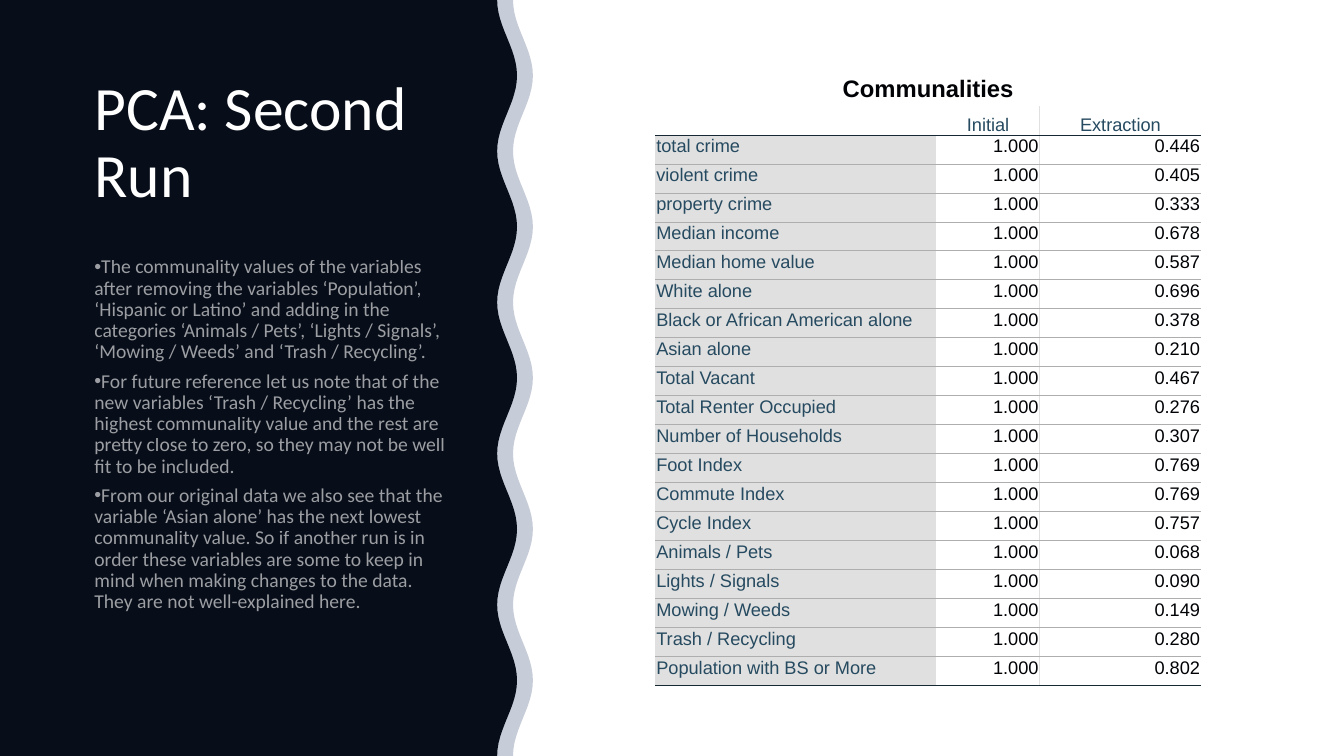
from dataclasses import dataclass
from math import cos, pi

from lxml import etree
from pptx import Presentation, util as u
from pptx.dml import color
from pptx.enum import text
from pptx.oxml import ns


@dataclass(frozen=True)
class Theme:
    black: str = "000000"
    navy: str = "203864"
    white: str = "FFFFFF"
    ink: str = "010205"
    label: str = "264A60"
    shade: str = "E0E0E0"
    rule: str = "AEAEAE"
    frame: str = "152935"
    text_font: str = "Calibri"
    table_font: str = "Arial"
    title_size: int = 44
    body_size: int = 14
    caption_size: int = 17
    cell_size: int = 13


T = Theme()
WIDTH, HEIGHT = 33.87, 19.05
WAVE_MIDDLE, WAVE_DEPTH, WAVE_LENGTH, WAVE_STEPS = 12.78, 0.25, 3.81, 120

TITLE = "PCA: Second Run"
NOTES = [
    "The communality values of the variables after removing the variables ‘Population’, "
    "‘Hispanic or Latino’ and adding in the categories ‘Animals / Pets’, ‘Lights / Signals’, "
    "‘Mowing / Weeds’ and ‘Trash / Recycling’.",
    "For future reference let us note that of the new variables ‘Trash / Recycling’ has the "
    "highest communality value and the rest are pretty close to zero, so they may not be well "
    "fit to be included.",
    "From our original data we also see that the variable ‘Asian alone’ has the next lowest "
    "communality value. So if another run is in order these variables are some to keep in mind "
    "when making changes to the data. They are not well-explained here.",
]
CAPTION = "Communalities"
HEADINGS = ["", "Initial", "Extraction"]
EXTRACTIONS = {
    "total crime": 0.446,
    "violent crime": 0.405,
    "property crime": 0.333,
    "Median income": 0.678,
    "Median home value": 0.587,
    "White alone": 0.696,
    "Black or African American alone": 0.378,
    "Asian alone": 0.210,
    "Total Vacant": 0.467,
    "Total Renter Occupied": 0.276,
    "Number of Households": 0.307,
    "Foot Index": 0.769,
    "Commute Index": 0.769,
    "Cycle Index": 0.757,
    "Animals / Pets": 0.068,
    "Lights / Signals": 0.090,
    "Mowing / Weeds": 0.149,
    "Trash / Recycling": 0.280,
    "Population with BS or More": 0.802,
}
COLUMN_WIDTHS = [7.09, 2.6, 4.07]
CAPTION_HEIGHT, ROW_HEIGHT = 0.89, 0.73


def apply(obj, **values):
    for name, value in values.items():
        setattr(obj, name, value)


def set_alpha(element, percent):
    clr = element.find(".//" + ns.qn("a:srgbClr"))
    etree.SubElement(clr, ns.qn("a:alpha"), val=str(percent * 1000))


def add_run(p, words, font, size, rgb, bold=False):
    r = p.add_run()
    r.text = words
    apply(r.font, name=font, size=u.Pt(size), bold=bold)
    r.font.color.rgb = color.RGBColor.from_string(rgb)
    return r


def add_wavy_panel(s, shift, rgb, alpha=100):
    ys = [HEIGHT * i / WAVE_STEPS for i in range(WAVE_STEPS + 1)]
    edge = [
        (u.Cm(WAVE_MIDDLE + shift - WAVE_DEPTH * cos(2 * pi * y / WAVE_LENGTH)), u.Cm(y))
        for y in ys
    ]
    builder = s.shapes.build_freeform(0, 0)
    builder.add_line_segments(edge + [(0, u.Cm(HEIGHT))])
    sp = builder.convert_to_shape()
    sp.shadow.inherit = False
    sp.fill.solid()
    sp.fill.fore_color.rgb = color.RGBColor.from_string(rgb)
    sp.line.fill.background()
    if alpha < 100:
        set_alpha(sp._element, alpha)


def add_text(s, top, height, paragraphs, size, alpha=100, bullet=None):
    tf = s.shapes.add_textbox(u.Cm(2.13), u.Cm(top), u.Cm(9.4), u.Cm(height)).text_frame
    tf.word_wrap = True
    for i, words in enumerate(paragraphs):
        p = tf.add_paragraph() if i else tf.paragraphs[0]
        apply(p, line_spacing=0.9, space_after=u.Pt(6))
        r = add_run(p, words, T.text_font, size, T.white)
        if alpha < 100:
            set_alpha(r._r, alpha)
        if bullet:
            ppr = p._p.get_or_add_pPr()
            ppr.set("marL", "0")
            ppr.set("indent", str(-u.Cm(0.64)))
            etree.SubElement(ppr, ns.qn("a:buFont"), typeface="Arial")
            etree.SubElement(ppr, ns.qn("a:buChar"), char=bullet)


def set_borders(cell, **sides):
    tcpr = cell._tc.get_or_add_tcPr()
    for i, side in enumerate("LRTB"):
        rgb = sides.get(side)
        ln = etree.Element(ns.qn("a:ln" + side), w=str(u.Pt(0.5)))
        fill = etree.SubElement(ln, ns.qn("a:solidFill" if rgb else "a:noFill"))
        if rgb:
            etree.SubElement(fill, ns.qn("a:srgbClr"), val=rgb)
        tcpr.insert(i, ln)


def fill_cell(cell, words, size, rgb, align, anchor, shade=None, bold=False):
    edge = u.Cm(0.03)
    apply(cell, margin_left=edge, margin_right=edge, margin_top=edge, margin_bottom=0,
          vertical_anchor=anchor)
    p = cell.text_frame.paragraphs[0]
    p.alignment = align
    if words:
        add_run(p, words, T.table_font, size, rgb, bold)
    else:
        etree.SubElement(p._p, ns.qn("a:endParaRPr"), sz=str(size * 100))
    if shade:
        cell.fill.solid()
        cell.fill.fore_color.rgb = color.RGBColor.from_string(shade)
    else:
        cell.fill.background()


def add_communalities(s):
    align, anchor = text.PP_ALIGN, text.MSO_ANCHOR
    body = [[name, "1.000", f"{value:.3f}"] for name, value in EXTRACTIONS.items()]
    rows = [[CAPTION, "", ""], HEADINGS] + body
    last = len(rows) - 1
    height = CAPTION_HEIGHT + ROW_HEIGHT * last
    table = s.shapes.add_table(len(rows), 3, u.Cm(16.51), u.Cm(1.78),
                               u.Cm(sum(COLUMN_WIDTHS)), u.Cm(height)).table
    apply(table, first_row=False, horz_banding=False)
    for column, width in zip(table.columns, COLUMN_WIDTHS):
        column.width = u.Cm(width)
    for i, row in enumerate(rows):
        table.rows[i].height = u.Cm(ROW_HEIGHT if i else CAPTION_HEIGHT)
        for j, words in enumerate(row):
            cell = table.cell(i, j)
            if i == 0:
                fill_cell(cell, words, T.caption_size, T.ink, align.CENTER, anchor.MIDDLE, bold=True)
                set_borders(cell)
                continue
            if i == 1:
                fill_cell(cell, words, T.cell_size, T.label, align.CENTER, anchor.BOTTOM)
            elif j == 0:
                fill_cell(cell, words, T.cell_size, T.label, align.LEFT, anchor.TOP, T.shade)
            else:
                fill_cell(cell, words, T.cell_size, T.ink, align.RIGHT, anchor.TOP)
            set_borders(
                cell,
                L=T.shade if j == 2 else None,
                R=T.shade if j == 1 else None,
                T={1: None, 2: T.frame}.get(i, T.rule),
                B=T.frame if i in (1, last) else T.rule,
            )
    table.cell(0, 0).merge(table.cell(0, 2))


def main():
    prs = Presentation()
    apply(prs, slide_width=u.Cm(WIDTH), slide_height=u.Cm(HEIGHT))
    s = prs.slides.add_slide(prs.slide_layouts[6])
    add_wavy_panel(s, 0, T.black)
    add_wavy_panel(s, 0.4, T.navy, alpha=25)
    add_text(s, 1.83, 4.14, [TITLE], T.title_size)
    add_text(s, 6.35, 10.67, NOTES, T.body_size, alpha=60, bullet="•")
    add_communalities(s)
    prs.save("out.pptx")


if __name__ == "__main__":
    main()
